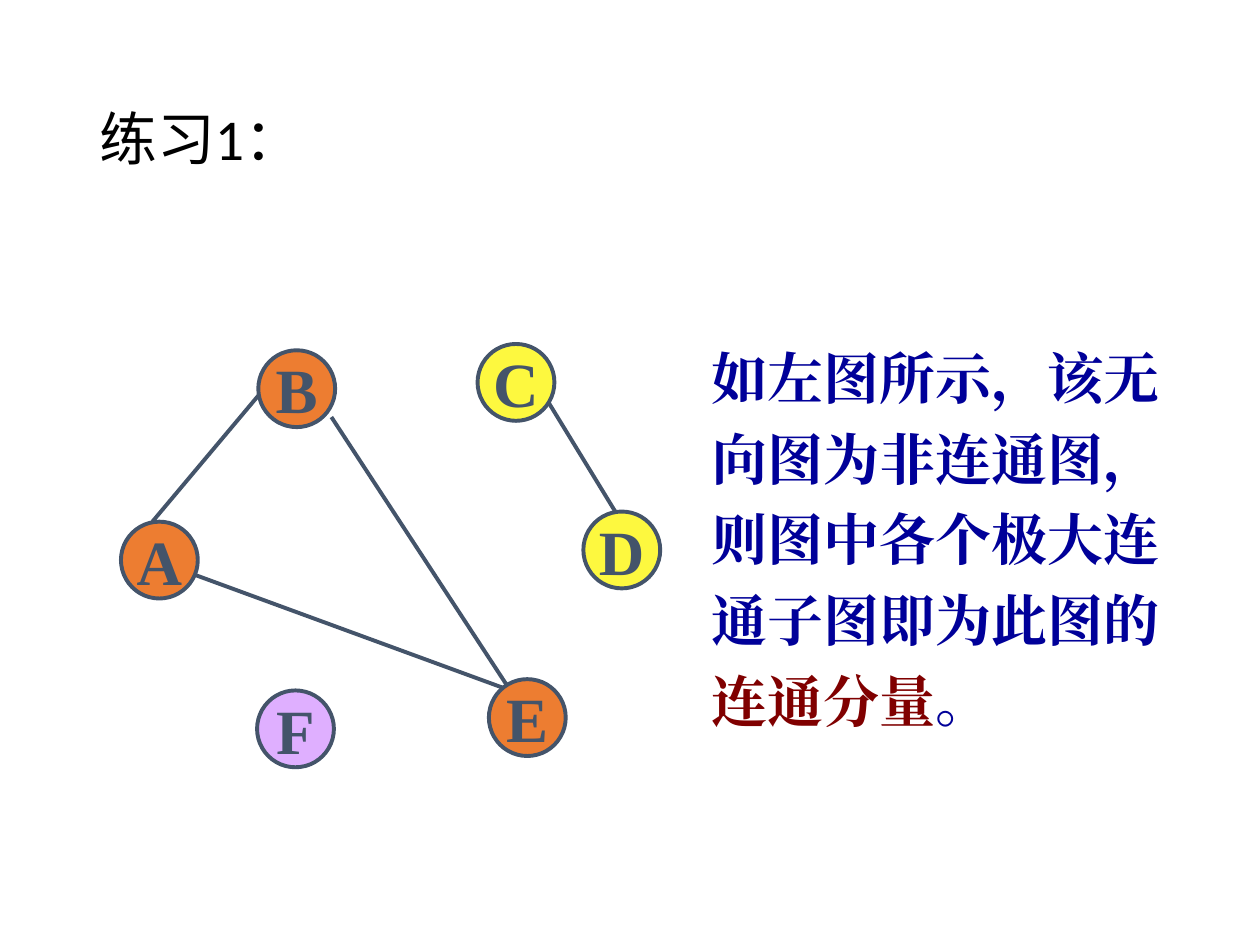
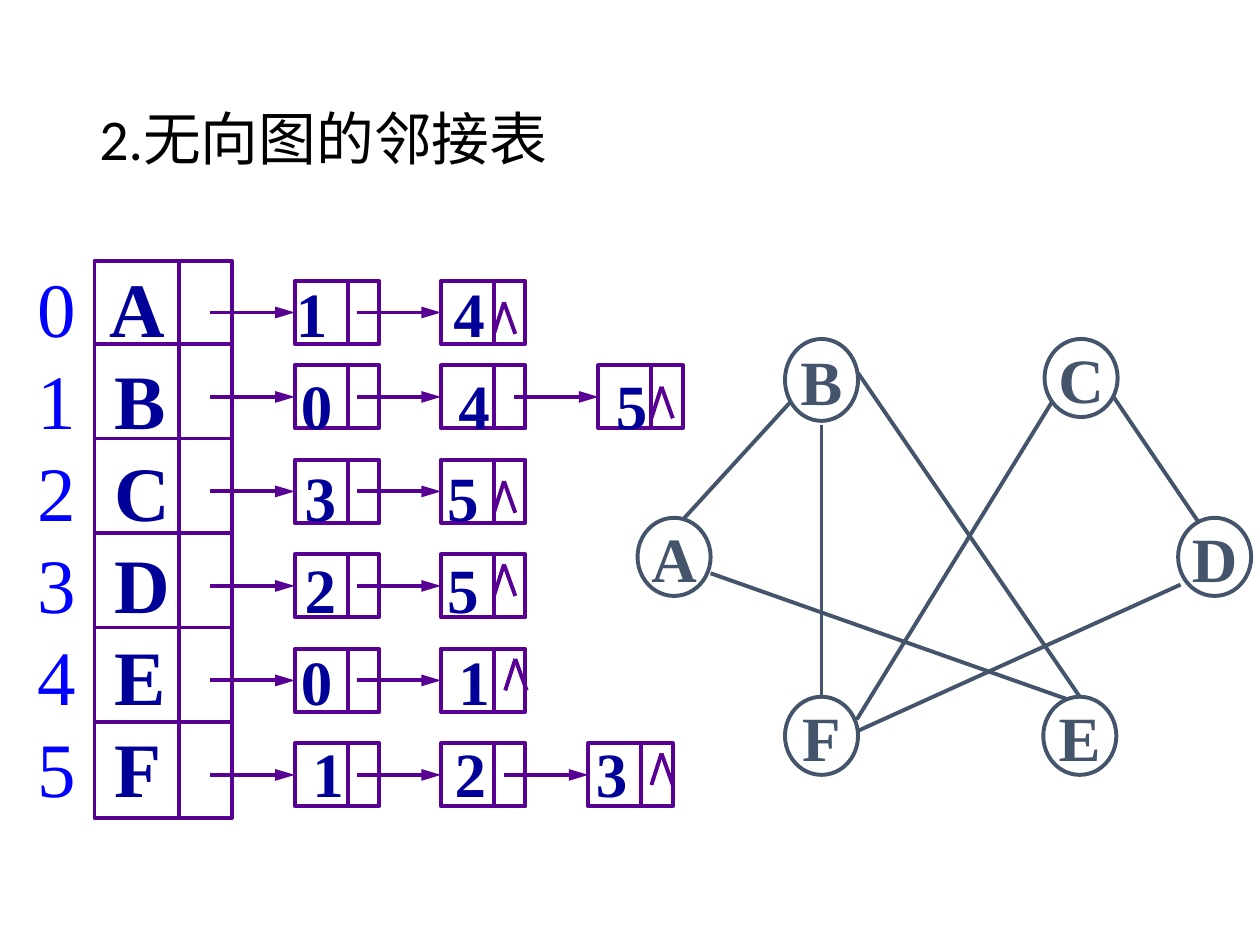
from dataclasses import dataclass
from typing import NamedTuple

from lxml.etree import SubElement
from pptx import Presentation
from pptx.dml.color import RGBColor as Rgb
from pptx.enum.shapes import MSO_CONNECTOR as Conn, MSO_SHAPE as Kind
from pptx.enum.text import MSO_ANCHOR as Anchor, MSO_AUTO_SIZE as Fit, PP_ALIGN as Align
from pptx.oxml.ns import qn
from pptx.shapes.autoshape import Shape
from pptx.shapes.connector import Connector
from pptx.shapes.shapetree import GroupShapes as Group
from pptx.slide import Slide
from pptx.text.text import TextFrame as Frame, _Paragraph as Para, _Run as Run
from pptx.util import Emu, Pt

PX = 9144
HUES = {
    "black": "000000", "white": "FFFFFF", "slate": "44546A", "orange": "ED7D31",
    "yellow": "FDF83F", "lilac": "DFAFFF", "purple": "580094", "navy": "000099",
    "blue": "0000FF", "maroon": "800000",
}
SERIF, SANS = "Times New Roman", "Calibri"
STROKE = Pt(2.25)
STEP = 75
CELL_W, CELL_H, SPLIT = 67, 50, 42


class Style(NamedTuple):
    size: int
    hue: str
    bold: bool = False
    font: str = SERIF


TITLE = Style(33, "black", font=SANS)
LABEL = Style(36, "slate", True)
BODY = Style(32, "navy", True)
TERM = Style(32, "maroon", True)
INDEX = Style(44, "blue")
HEAD = Style(44, "navy", True)
VALUE = Style(36, "navy", True)


@dataclass(frozen=True)
class Box:
    x: int
    y: int
    w: int
    h: int


@dataclass(frozen=True)
class Node:
    name: str
    box: Box
    hue: str = "white"


@dataclass(frozen=True)
class Edge:
    x1: int
    y1: int
    x2: int
    y2: int


@dataclass(frozen=True)
class Row:
    name: str
    links: str
    top: int
    cells: tuple[int, ...]
    stops: tuple[int, ...]
    tip: tuple[int, int]


def px(size: int) -> Emu:
    return Emu(size * PX)


def color(name: str) -> Rgb:
    return Rgb.from_string(HUES[name])


def dress(run: Run, style: Style) -> None:
    font = run.font
    font.size, font.bold, font.name = Pt(style.size), style.bold, style.font
    font.color.rgb = color(style.hue)
    east = SubElement(run._r.get_or_add_rPr(), qn("a:ea"))
    east.set("typeface", style.font)


def write(para: Para, *parts: tuple[str, Style]) -> None:
    for text, style in parts:
        run = para.add_run()
        run.text = text
        dress(run, style)


def add_text(slide: Slide, box: Box) -> Frame:
    frame = slide.shapes.add_textbox(*map(px, (box.x, box.y, box.w, box.h))).text_frame
    frame.word_wrap = True
    return frame


def add_title(slide: Slide, text: str) -> None:
    frame = add_text(slide, Box(69, 40, 863, 145))
    frame.vertical_anchor = Anchor.MIDDLE
    para = frame.paragraphs[0]
    para.line_spacing = 0.9
    write(para, (text, TITLE))


def add_form(group: Group, kind: Kind, box: Box, line: str, fill: str = "") -> Shape:
    form = group.add_shape(kind, *map(px, (box.x, box.y, box.w, box.h)))
    form.shadow.inherit = False
    if fill:
        form.fill.solid()
        form.fill.fore_color.rgb = color(fill)
    else:
        form.fill.background()
    form.line.color.rgb = color(line)
    form.line.width = STROKE
    return form


def add_line(group: Group, edge: Edge, hue: str) -> Connector:
    ends = map(px, (edge.x1, edge.y1, edge.x2, edge.y2))
    line = group.add_connector(Conn.STRAIGHT, *ends)
    line.line.color.rgb = color(hue)
    line.line.width = STROKE
    SubElement(line._element.spPr, qn("a:effectLst"))
    return line


def add_arrow(group: Group, edge: Edge, hue: str) -> None:
    line = add_line(group, edge, hue)
    tail = SubElement(line.line._get_or_add_ln(), qn("a:tailEnd"))
    for key, value in (("type", "triangle"), ("w", "med"), ("len", "lg")):
        tail.set(key, value)


def add_node(group: Group, node: Node) -> None:
    frame = add_form(group, Kind.OVAL, node.box, "slate", node.hue).text_frame
    frame.word_wrap = False
    frame.vertical_anchor = Anchor.MIDDLE
    frame.text = node.name
    para = frame.paragraphs[0]
    para.alignment = Align.CENTER
    dress(para.runs[0], LABEL)


def add_graph(slide: Slide, nodes: list[Node], edges: list[Edge]) -> None:
    group = slide.shapes.add_group_shape().shapes
    for edge in edges:
        add_line(group, edge, "slate")
    for node in nodes:
        add_node(group, node)


def add_heads(group: Group, count: int) -> None:
    left, right, top, end = 75, 184, 207, 649
    add_form(group, Kind.RECTANGLE, Box(left, top, right - left, end - top), "purple")
    for i in range(count - 1):
        y = 273 + STEP * i
        add_line(group, Edge(left, y, right, y), "purple")
    add_line(group, Edge(142, top, 142, end), "purple")


def add_chain(group: Group, row: Row) -> None:
    y = row.top
    for x in row.cells:
        add_form(group, Kind.RECTANGLE, Box(x, y, CELL_W, CELL_H), "purple")
        add_line(group, Edge(x + SPLIT, y, x + SPLIT, y + CELL_H), "purple")
        mid = y + CELL_H // 2
        add_arrow(group, Edge(x - CELL_W, mid, x, mid), "purple")
    x, y = row.cells[-1] + row.tip[0], y + row.tip[1]
    for foot in (x - 8, x + 9):
        add_line(group, Edge(x, y, foot, y + 25), "purple")


def add_names(slide: Slide, rows: list[Row]) -> None:
    frame = add_text(slide, Box(20, 202, 542, 450))
    for i, row in enumerate(rows):
        para = frame.add_paragraph() if i else frame.paragraphs[0]
        para.line_spacing = Pt(52.6)
        tabs = SubElement(para._p.get_or_add_pPr(), qn("a:tabLst"))
        for stop in row.stops:
            tab = SubElement(tabs, qn("a:tab"))
            tab.set("pos", str(px(stop)))
            tab.set("algn", "l")
        values = "".join(f"\t{link}" for link in row.links)
        write(para, (str(i), INDEX), (f"\t{row.name}", HEAD), (values, VALUE))


def draw_parts(slide: Slide) -> None:
    spots = [
        ("B", 205, 278, "orange"), ("A", 96, 414, "orange"), ("C", 379, 273, "yellow"),
        ("D", 463, 406, "yellow"), ("F", 204, 548, "lilac"), ("E", 388, 539, "orange"),
    ]
    nodes = [Node(name, Box(x, y, 61, 61), hue) for name, x, y, hue in spots]
    edges = [
        Edge(205, 314, 121, 414), Edge(263, 331, 405, 548),
        Edge(154, 456, 405, 548), Edge(429, 309, 495, 417),
    ]
    frame = add_text(slide, Box(555, 257, 392, 330))
    frame.auto_size = Fit.SHAPE_TO_FIT_TEXT
    para = frame.paragraphs[0]
    para.line_spacing = 1.2
    write(
        para,
        ("如左图所示，该无向图为非连通图，则图中各个极大连通子图即为此图的", BODY),
        ("连通分量", TERM),
        ("。", BODY),
    )
    add_graph(slide, nodes, edges)
    add_title(slide, "练习1：")


def draw_lists(slide: Slide) -> None:
    tops = [223] + [290 + STEP * i for i in range(5)]
    two = (234, 350)
    specs = [
        ("A", "14", two, (57, 205, 330), (50, 17)),
        ("B", "045", two + (475,), (61, 209, 334, 459), (50, 17)),
        ("C", "35", two, (61, 212, 325), (50, 17)),
        ("D", "25", two, (61, 212, 325), (50, 8)),
        ("E", "01", two, (61, 209, 334), (59, 8)),
        ("F", "123", two + (467,), (61, 218, 331, 443), (58, 8)),
    ]
    rows = [
        Row(name, links, top, cells, stops, tip)
        for top, (name, links, cells, stops, tip) in zip(tops, specs)
    ]
    group = slide.shapes.add_group_shape().shapes
    add_heads(group, len(rows))
    for row in rows:
        add_chain(group, row)
    spots = [
        ("B", 623, 269, 65), ("A", 506, 411, 62), ("C", 829, 269, 62),
        ("D", 935, 411, 62), ("F", 623, 553, 62), ("E", 828, 553, 62),
    ]
    nodes = [Node(name, Box(x, y, 58, h)) for name, x, y, h in spots]
    edges = [
        Edge(632, 314, 535, 420), Edge(681, 296, 857, 553), Edge(564, 455, 867, 562),
        Edge(838, 314, 680, 571), Edge(877, 305, 955, 420), Edge(937, 464, 681, 580),
        Edge(652, 337, 652, 562),
    ]
    add_graph(slide, nodes, edges)
    add_names(slide, rows)
    add_title(slide, "2.无向图的邻接表")


def main() -> None:
    deck = Presentation()
    deck.slide_width, deck.slide_height = px(1000), px(750)
    for draw in (draw_parts, draw_lists):
        draw(deck.slides.add_slide(deck.slide_layouts[6]))
    deck.save("out.pptx")


if __name__ == "__main__":
    main()
